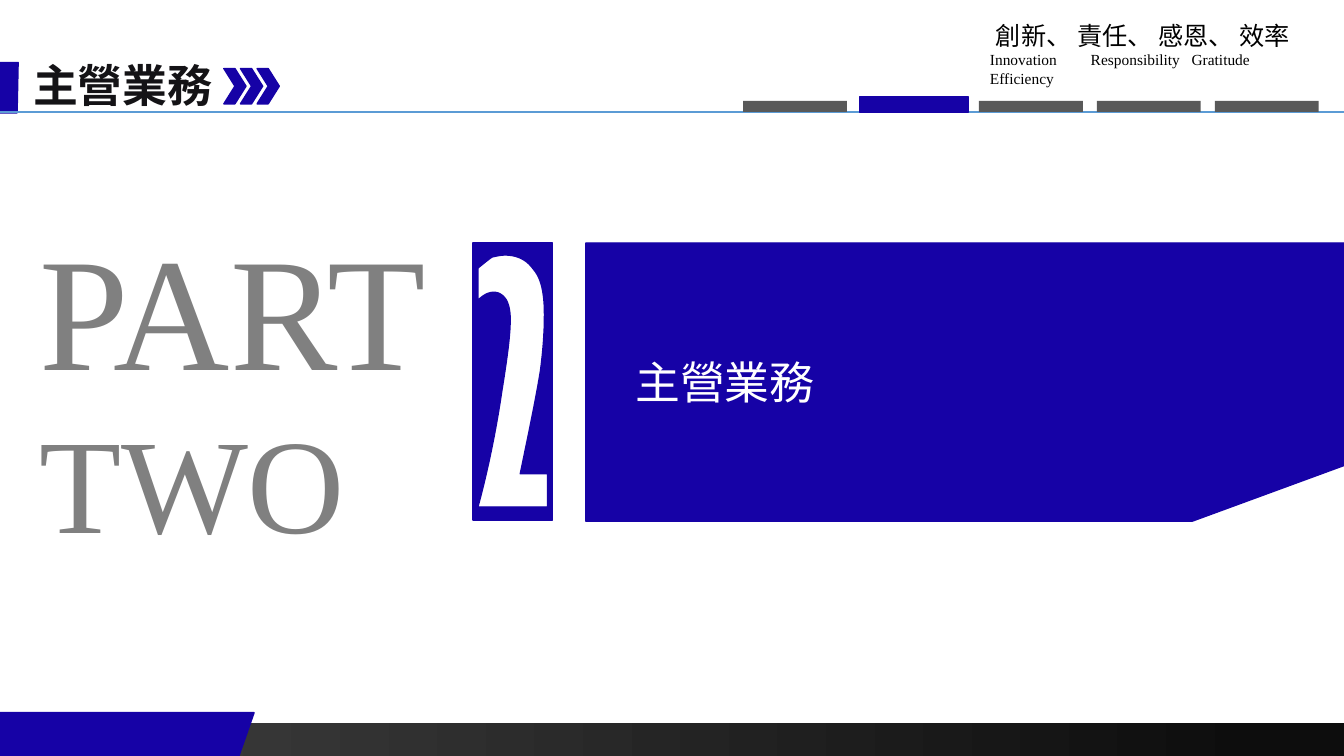
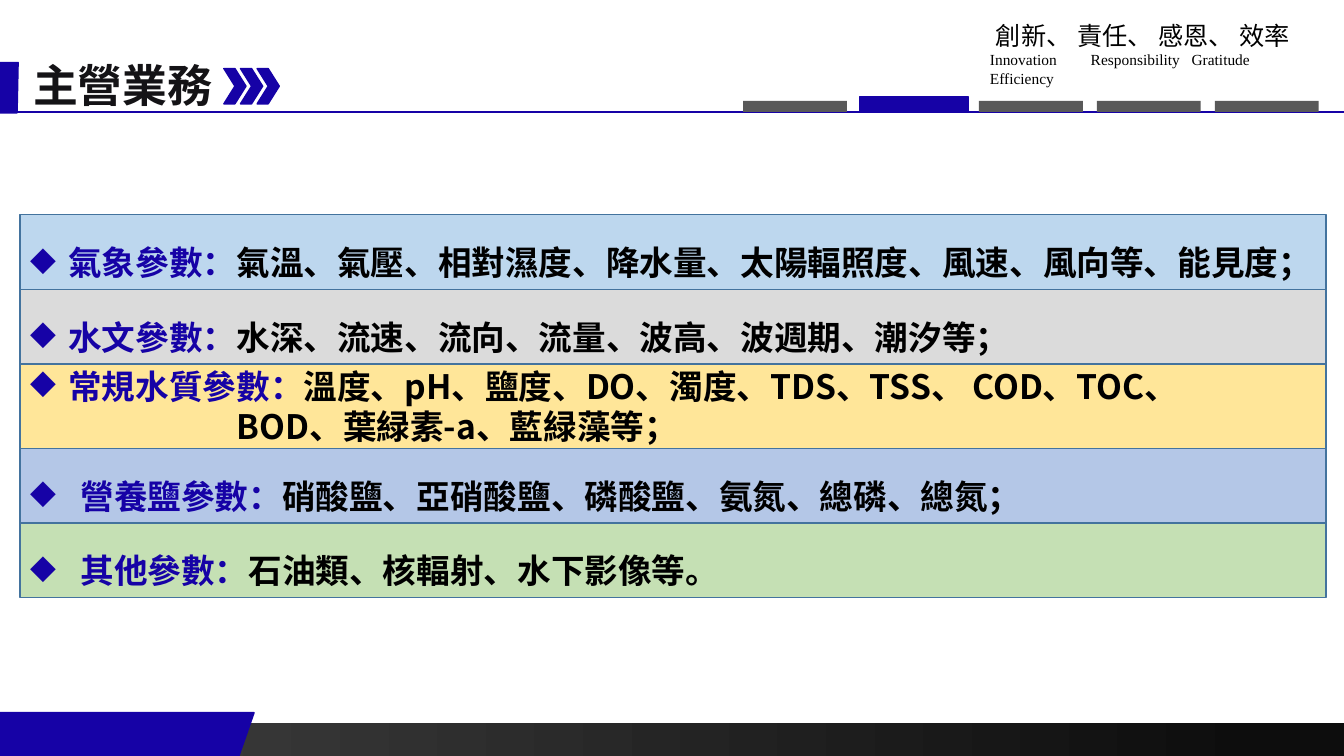
import pptx
import pptx.util
import pptx.dml.color
import pptx.enum.shapes
import pptx.enum.text
import pptx.oxml.ns
from lxml import etree

Inches = pptx.util.Inches
SHAPE = pptx.enum.shapes.MSO_SHAPE
ALIGN = pptx.enum.text.PP_ALIGN
ANCHOR = pptx.enum.text.MSO_ANCHOR
AUTO_SIZE = pptx.enum.text.MSO_AUTO_SIZE

SLIDE_SIZE = (13.33, 7.5)


class Theme:
    brand, title, ink, white = "1602A6", "141316", "000000", "FFFFFF"
    tab, part, rule, row_line = "595959", "808080", "5B9BD5", "43739E"
    footer = ((0, "404040"), (0.94, "0D0D0D"))
    cjk, latin = "Noto Sans CJK SC", "Times New Roman"
    styles = {
        "title": {"size": 32, "name": cjk, "bold": True, "color": title},
        "label": {"size": 32, "name": cjk, "color": white},
        "part": {"size": 115, "name": latin, "color": part},
        "number": {"size": 96, "name": latin, "color": part},
        "motto": {"size": 18, "name": cjk, "color": ink},
        "motto_latin": {"size": 11, "name": latin, "color": ink},
        "topic": {"size": 24, "name": cjk, "bold": True, "color": brand},
        "items": {"size": 24, "name": cjk, "bold": True, "color": ink},
    }


SECTION = "主營業務"
MOTTO = [
    {"runs": [("創新、 責任、 感恩、 效率", "motto")], "margin": 0.06},
    {"runs": [("Innovation\tResponsibility\tGratitude\tEfficiency", "motto_latin")],
     "tabs": (0.78, 1.77, 2.55)},
]
TAB_COUNT, ACTIVE_TAB = 5, 1

# fill, height, bullet indent, line spacing, topic, item lines
PARAMETERS = [
    ("BDD7EE", 0.74, 0.38, 1.5, "氣象參數：",
     ["氣溫、氣壓、相對濕度、降水量、太陽輻照度、風速、風向等、能見度；"]),
    ("DBDBDB", 0.74, 0.38, 1.5, "水文參數：",
     ["水深、流速、流向、流量、波高、波週期、潮汐等；"]),
    ("FFE699", 0.84, 0.38, 1.0, "常規水質參數：",
     ["溫度、pH、鹽度、DO、濁度、TDS、TSS、 COD、TOC、",
      "BOD、葉緑素-a、藍緑藻等；"]),
    ("B4C7E7", 0.74, 0.5, 1.5, "營養鹽參數：",
     ["硝酸鹽、亞硝酸鹽、磷酸鹽、氨氮、總磷、總氮；"]),
    ("C5E0B4", 0.74, 0.5, 1.5, "其他參數：",
     ["石油類、核輻射、水下影像等。"]),
]
CONTINUATION_INDENT = 2.05

TITLE_MARK = [(0, 0.62), (0.18, 0.62), (0.17, 1.12), (0, 1.12)]
FOOTER_MARK = [(0, 7.07), (2.52, 7.07), (2.37, 7.5), (0, 7.5)]
NUMBER_CARD = [(4.69, 2.41), (5.48, 2.41), (5.48, 5.16), (4.69, 5.16)]
# Two values are a corner; six are a cubic curve's two handles and end.
DIGIT_TWO = [
    (5.01, 2.53),
    (4.97, 2.53, 4.92, 2.54, 4.88, 2.55),
    (4.85, 2.57, 4.8, 2.61, 4.74, 2.66),
    (4.74, 2.98),
    (4.79, 2.93, 4.84, 2.9, 4.9, 2.9),
    (4.94, 2.9, 4.98, 2.92, 5.01, 2.96),
    (5.04, 3, 5.06, 3.07, 5.06, 3.17),
    (5.06, 3.32, 5.03, 3.55, 4.98, 3.86),
    (4.92, 4.27, 4.84, 4.66, 4.74, 5.03),
    (5.43, 5.03),
    (5.43, 4.7),
    (5.16, 4.7),
    (5.25, 4.27, 5.32, 3.93, 5.36, 3.68),
    (5.39, 3.46, 5.4, 3.27, 5.4, 3.12),
    (5.4, 2.91, 5.37, 2.76, 5.29, 2.67),
    (5.22, 2.57, 5.12, 2.53, 5.01, 2.53),
]


def rgb(value):
    return pptx.dml.color.RGBColor.from_string(value)


def add_element(parent, tag, **attributes):
    element = etree.SubElement(parent, pptx.oxml.ns.qn(tag))
    for name, value in attributes.items():
        element.set(name, str(value))
    return element


def set_values(target, values):
    for name, value in values.items():
        setattr(target, name, value)


def paint(shape, fill, line=None):
    shape.shadow.inherit = False
    if fill:
        shape.fill.solid()
        shape.fill.fore_color.rgb = rgb(fill)
    if line:
        shape.line.color.rgb = rgb(line)
        shape.line.width = pptx.util.Pt(1)
    else:
        shape.line.fill.background()
    return shape


def add_shape(slide, kind, box, fill, line=None):
    return paint(slide.shapes.add_shape(kind, *map(Inches, box)), fill, line)


def add_outline(slide, *contours):
    builder = None
    for contour in contours:
        points = [tuple(map(Inches, point)) for point in contour]
        if builder is None:
            builder = slide.shapes.build_freeform(*points[0], scale=1.0)
        else:
            builder.move_to(*points[0])
        builder.add_line_segments(points[1:], close=True)
    return paint(builder.convert_to_shape(), Theme.brand, Theme.brand)


def flatten(segments, steps=10):
    """Turn corners and cubic curves into a list of points."""
    points = []
    for segment in segments:
        if len(segment) == 2:
            points.append(segment)
            continue
        controls = [points[-1], segment[:2], segment[2:4], segment[4:]]
        for step in range(1, steps + 1):
            t = step / steps
            weights = ((1 - t) ** 3, 3 * t * (1 - t) ** 2, 3 * t * t * (1 - t), t ** 3)
            points.append(tuple(
                sum(weight * control[axis] for weight, control in zip(weights, controls))
                for axis in (0, 1)))
    return points


def style_run(run, style):
    values = dict(Theme.styles[style])
    run.font.color.rgb = rgb(values.pop("color"))
    values["size"] = pptx.util.Pt(values["size"])
    set_values(run.font, values)
    add_element(run.font._element, "a:ea", typeface=run.font.name)


def write(frame, paragraphs):
    for index, content in enumerate(paragraphs):
        paragraph = frame.add_paragraph() if index else frame.paragraphs[0]
        properties = paragraph._p.get_or_add_pPr()
        bullet = content.get("bullet")
        margin = bullet or content.get("margin", 0)
        properties.set("marL", str(Inches(margin)))
        properties.set("indent", str(-Inches(bullet or 0)))
        if bullet:
            add_element(properties, "a:buChar", char="◆")
        if "tabs" in content:
            tab_list = add_element(properties, "a:tabLst")
            for position in content["tabs"]:
                add_element(tab_list, "a:tab", pos=Inches(position), algn="l")
        set_values(paragraph, {"alignment": content.get("align", ALIGN.LEFT),
                               "line_spacing": content.get("spacing", 1.0)})
        for text, style in content["runs"]:
            run = paragraph.add_run()
            run.text = text
            style_run(run, style)


def add_text(slide, box, paragraphs, wrap=False):
    frame = slide.shapes.add_textbox(*map(Inches, box)).text_frame
    set_values(frame, {"word_wrap": wrap, "auto_size": AUTO_SIZE.SHAPE_TO_FIT_TEXT})
    write(frame, paragraphs)


def add_rule(slide, y, color):
    line = slide.shapes.add_connector(
        pptx.enum.shapes.MSO_CONNECTOR.STRAIGHT,
        0, Inches(y), Inches(SLIDE_SIZE[0]), Inches(y))
    set_values(line.line, {"width": pptx.util.Pt(1)})
    line.line.color.rgb = rgb(color)
    add_element(line._element.spPr, "a:effectLst")


def add_footer(slide):
    band = add_shape(slide, SHAPE.RECTANGLE, (0, 7.17, SLIDE_SIZE[0], 0.33), None)
    band.fill.gradient()
    band.fill.gradient_angle = 0
    for stop, (position, color) in zip(band.fill.gradient_stops, Theme.footer):
        stop.position = position
        stop.color.rgb = rgb(color)
    add_outline(slide, FOOTER_MARK)


def add_frame_slide(presentation, rule_color):
    """Add a slide with the shared header, section tabs and footer."""
    slide = presentation.slides.add_slide(presentation.slide_layouts[6])
    add_outline(slide, TITLE_MARK)
    add_footer(slide)
    add_rule(slide, 1.11, rule_color)
    for index in range(TAB_COUNT):
        left = 7.37 + index * 1.17
        if index == ACTIVE_TAB:
            add_shape(slide, SHAPE.RECTANGLE, (left - 0.01, 0.96, 1.07, 0.16),
                      Theme.brand, Theme.brand)
        else:
            add_shape(slide, SHAPE.RECTANGLE, (left, 1, 1.03, 0.11), Theme.tab)
    for index in range(3):
        add_shape(slide, SHAPE.CHEVRON, (2.22 + index * 0.165, 0.68, 0.22, 0.35),
                  Theme.brand, Theme.brand)
    add_text(slide, (0.23, 0.52, 2, 0.64), [{"runs": [(SECTION, "title")]}])
    add_text(slide, (9.72, 0.15, 3.5, 0.61), MOTTO, wrap=True)
    return slide


def add_section_slide(presentation):
    slide = add_frame_slide(presentation, Theme.rule)
    banner = add_shape(slide, SHAPE.FLOWCHART_CARD, (5.81, 2.41, 7.52, 2.76),
                       Theme.brand, Theme.brand)
    banner.rotation = 180
    add_outline(slide, flatten(DIGIT_TWO), NUMBER_CARD)
    add_text(slide, (6.15, 3.47, 2.08, 0.64),
             [{"runs": [(SECTION, "label")], "align": ALIGN.CENTER}], wrap=True)
    add_text(slide, (0.29, 2.03, 4.08, 2.04), [{"runs": [("PART", "part")]}])
    add_text(slide, (0.29, 3.91, 3.27, 1.72), [{"runs": [("TWO", "number")]}])


def add_parameter_slide(presentation):
    slide = add_frame_slide(presentation, Theme.brand)
    top = 2.13
    for fill, height, indent, spacing, topic, lines in PARAMETERS:
        row = add_shape(slide, SHAPE.RECTANGLE, (0.2, top, 12.95, height),
                        fill, Theme.row_line)
        set_values(row.text_frame, {"word_wrap": True, "vertical_anchor": ANCHOR.MIDDLE})
        first, *others = lines
        paragraphs = [{"runs": [(topic, "topic"), (first, "items")],
                       "bullet": indent, "spacing": spacing}]
        paragraphs += [{"runs": [(line, "items")], "margin": CONTINUATION_INDENT}
                       for line in others]
        write(row.text_frame, paragraphs)
        top += height


def main():
    presentation = pptx.Presentation()
    width, height = map(Inches, SLIDE_SIZE)
    set_values(presentation, {"slide_width": width, "slide_height": height})
    add_section_slide(presentation)
    add_parameter_slide(presentation)
    presentation.save("out.pptx")


if __name__ == "__main__":
    main()
